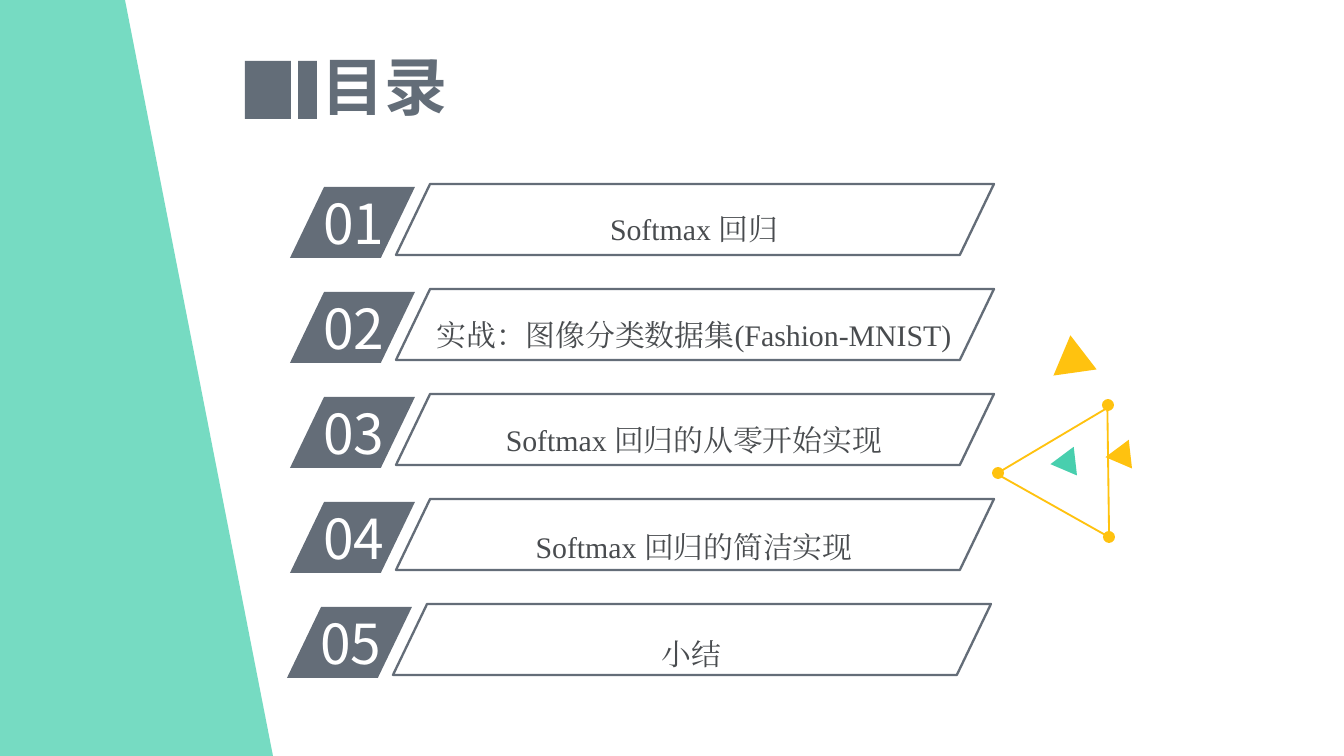
from pptx import Presentation
from pptx import util as u
from pptx.dml.color import RGBColor
from pptx.enum import shapes, text
from pptx.oxml import parse_xml
from pptx.oxml.ns import nsdecls, qn

PX = 914400 / 134.4
COLORS = {
    "slate": "646D78",
    "title": "636D78",
    "caption": "494C4F",
    "white": "FFFFFF",
    "yellow": "FFC20F",
    "green": "48CFAE",
    "band": "49CFAE",
}
SANS, SERIF = "Noto Sans CJK SC", "Times New Roman"
SHAPE = shapes.MSO_SHAPE
ROW_PITCH = 105

# Caption, horizontal shift of the row, vertical shift of the caption
ROWS = [
    ("Softmax 回归", 0, 0),
    ("实战：图像分类数据集(Fashion-MNIST)", 0, 1),
    ("Softmax 回归的从零开始实现", 0, 1),
    ("Softmax 回归的简洁实现", 0, 3),
    ("小结", -3, 5),
]
TRIANGLES = [
    ((1047, 345, 43, 38), 232.4, "yellow", None),
    ((1055, 453, 29, 25), 143.3, "green", None),
    ((1110, 446, 29, 25), 143.3, "yellow", None),
    ((1016, 433, 129, 112), 149.3, None, "yellow"),
]
DOTS = [(1102, 399), (1103, 531), (992, 467)]


def px(n):
    return u.Emu(round(n * PX))


def rgb(name):
    return RGBColor.from_string(COLORS[name])


def paint(sp, fill=None, line=None, width=1):
    sp.shadow.inherit = False
    if fill:
        sp.fill.solid()
        sp.fill.fore_color.rgb = rgb(fill)
    else:
        sp.fill.background()
    if line:
        sp.line.color.rgb = rgb(line)
        sp.line.width = u.Pt(width)
    else:
        sp.line.fill.background()


def add_shape(parent, kind, box, rotation=0, **look):
    sp = parent.add_shape(kind, *map(px, box))
    sp.rotation = rotation
    paint(sp, **look)
    return sp


def write(tf, content, frame, para, font, color):
    """Fill a text frame with one run, using the same face for Latin and Chinese."""
    p = tf.paragraphs[0]
    r = p.add_run()
    r.text = content
    for target, values in ((tf, frame), (p, para), (r.font, font)):
        for name, value in values.items():
            setattr(target, name, value)
    r.font.color.rgb = rgb(color)
    ea = r.font._element.makeelement(qn("a:ea"), {"typeface": font["name"]})
    r.font._element.find(qn("a:latin")).addnext(ea)


def add_text(parent, box, *content):
    write(parent.add_textbox(*map(px, box)).text_frame, *content)


def add_band(s):
    """Draw the translucent slanted band down the left edge."""
    fb = s.shapes.build_freeform(0, 0, scale=PX)
    fb.add_line_segments([(125, 0), (273, 756), (0, 756)], close=True)
    sp = fb.convert_to_shape()
    paint(sp, fill="band")
    color = sp.fill._xPr.find(qn("a:solidFill"))[0]
    color.append(parse_xml(f'<a:alpha {nsdecls("a")} val="75000"/>'))


def add_title(s):
    title = s.shapes.title
    title.left, title.top, title.width, title.height = map(px, (210, 47, 349, 77))
    write(title.text_frame, "目录",
          {"vertical_anchor": text.MSO_ANCHOR.MIDDLE, "word_wrap": True,
           "auto_size": text.MSO_AUTO_SIZE.NONE},
          {"alignment": text.PP_ALIGN.CENTER},
          {"name": SANS, "size": u.Pt(33.8), "bold": True}, "title")
    for left, width in ((245, 46), (298, 19)):
        add_shape(s.shapes, SHAPE.RECTANGLE, (left, 61, width, 58), fill="title")


def add_row(s, number, caption, dx, dy):
    row = s.shapes.add_group_shape().shapes
    top = 187 + (number - 1) * ROW_PITCH
    tag = add_shape(row, SHAPE.PARALLELOGRAM, (290 + dx, top, 125, 71), fill="slate")
    add_text(row, (310 + dx, top - 4, 118, 81), f"{number:02d}",
             {"word_wrap": True}, {}, {"name": SANS, "size": u.Pt(29.5)}, "white")
    add_text(row, (410 + dx, top + dy, 568, 58), caption,
             {"word_wrap": True, "margin_left": u.Inches(0.08),
              "margin_right": u.Inches(0.08), "margin_top": u.Inches(0.04),
              "margin_bottom": u.Inches(0.04)},
             {"alignment": text.PP_ALIGN.CENTER, "line_spacing": 1.5},
             {"name": SERIF, "size": u.Pt(16)}, "caption")
    frame = add_shape(row, SHAPE.PARALLELOGRAM, (396 + dx, top - 3, 598, 71),
                      line="slate", width=1.25)
    for sp in (tag, frame):
        sp.adjustments[0] = 0.48


def add_ornament(s):
    ornament = s.shapes.add_group_shape().shapes
    for box, rotation, fill, line in TRIANGLES:
        add_shape(ornament, SHAPE.ISOSCELES_TRIANGLE, box, rotation, fill=fill, line=line)
    for left, top in DOTS:
        add_shape(ornament, SHAPE.OVAL, (left, top, 12, 12), fill="yellow")


def main():
    prs = Presentation()
    prs.slide_width, prs.slide_height = px(1344), px(756)
    s = prs.slides.add_slide(prs.slide_layouts[5])
    add_ornament(s)
    add_title(s)
    for number, row in enumerate(ROWS, 1):
        add_row(s, number, *row)
    add_band(s)
    prs.save("out.pptx")


if __name__ == "__main__":
    main()
